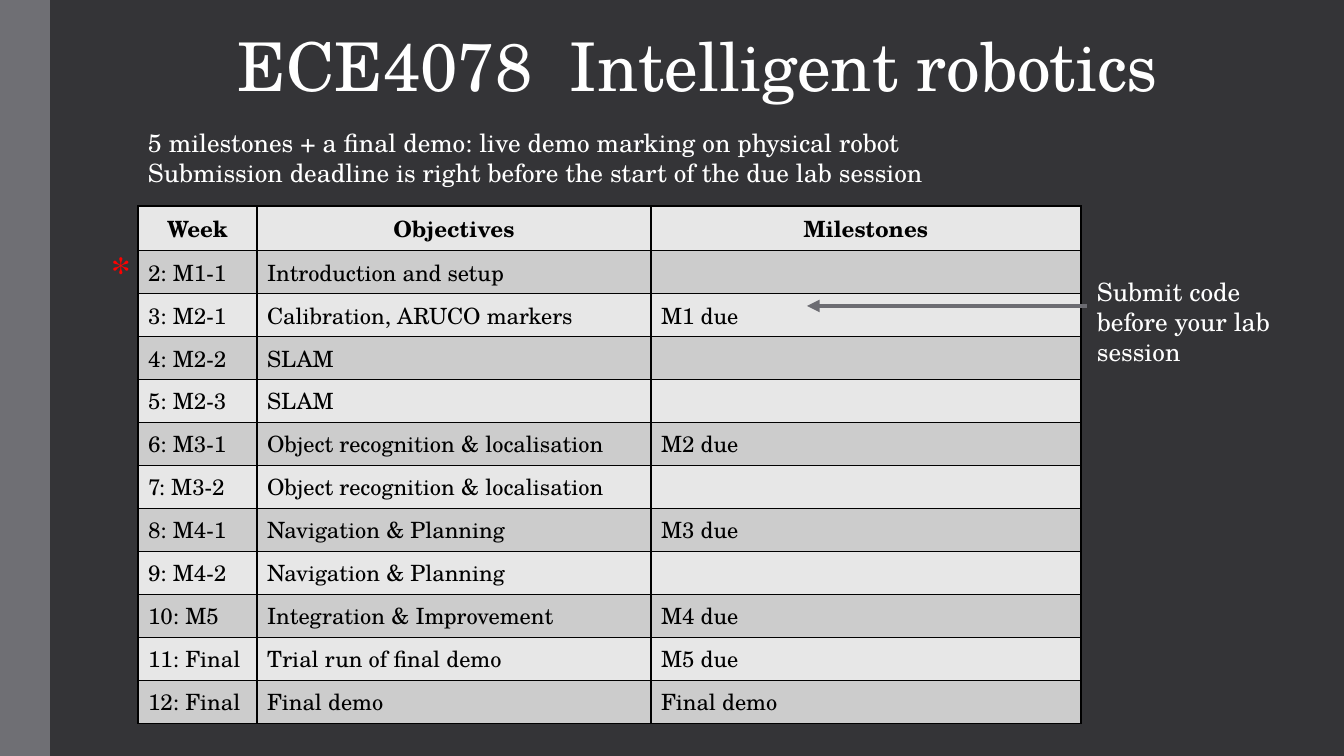
from lxml import etree
from pptx import Presentation
from pptx import util as u
from pptx.dml.color import RGBColor
from pptx.enum import shapes, text
from pptx.oxml.ns import qn

COLORS = {
    "background": "343437", "side": "6F6F74", "arrow": "6C6C72",
    "white": "FFFFFF", "black": "000000", "red": "FF0000",
    "light": "E7E7E7", "dark": "CCCCCC",
}
FONT = "TeX Gyre Schola"
PX = 914400 / 100.8

TITLE = ["ECE4078  Intelligent robotics"]
INTRO = [
    "5 milestones + a final demo: live demo marking on physical robot",
    "Submission deadline is right before the start of the due lab session",
]
SUBMIT_NOTE = ["Submit code", "before your lab", "session"]
SCHEDULE = [
    ("Week", "Objectives", "Milestones"),
    ("2: M1-1", "Introduction and setup", ""),
    ("3: M2-1", "Calibration, ARUCO markers", "M1 due"),
    ("4: M2-2", "SLAM", ""),
    ("5: M2-3", "SLAM", ""),
    ("6: M3-1", "Object recognition & localisation", "M2 due"),
    ("7: M3-2", "Object recognition & localisation", ""),
    ("8: M4-1", "Navigation & Planning", "M3 due"),
    ("9: M4-2", "Navigation & Planning", ""),
    ("10: M5", "Integration & Improvement", "M4 due"),
    ("11: Final", "Trial run of final demo", "M5 due"),
    ("12: Final", "Final demo", "Final demo"),
]
COLUMN_WIDTHS = (119, 394, 430)
ROW_HEIGHT = 43
WHITE_18 = {"size": 18, "color": "white"}
TEXTS = [
    (TITLE, (52, 19, 1292, 91), {"size": 48, "color": "white"}, True, True),
    (INTRO, (138, 122, 1104, 70), WHITE_18, False, True),
    (SUBMIT_NOTE, (1087, 271, 223, 107), WHITE_18, False, False),
    (["*"], (102, 242, 36, 57), {"size": 28, "color": "red"}, False, True),
]


def px(*lengths):
    return [u.Emu(round(n * PX)) for n in lengths]


def rgb(name):
    return RGBColor.from_string(COLORS[name])


def paint(fill, name):
    fill.solid()
    fill.fore_color.rgb = rgb(name)


def write(frame, lines, size, color, centered=False, bold=False):
    for i, line in enumerate(lines):
        paragraph = frame.paragraphs[0] if i == 0 else frame.add_paragraph()
        paragraph.alignment = text.PP_ALIGN.CENTER if centered else text.PP_ALIGN.LEFT
        run = paragraph.add_run()
        run.text = line
        for key, value in {"name": FONT, "size": u.Pt(size), "bold": bold}.items():
            setattr(run.font, key, value)
        run.font.color.rgb = rgb(color)


def outline(cell):
    properties = cell._tc.get_or_add_tcPr()
    for edge in ("a:lnL", "a:lnR", "a:lnT", "a:lnB"):
        line = etree.SubElement(properties, qn(edge), w=str(u.Pt(0.96)))
        solid = etree.SubElement(line, qn("a:solidFill"))
        etree.SubElement(solid, qn("a:srgbClr"), val=COLORS["black"])


def add_schedule(slide):
    area = px(138, 206, sum(COLUMN_WIDTHS), ROW_HEIGHT * len(SCHEDULE))
    schedule = slide.shapes.add_table(len(SCHEDULE), len(COLUMN_WIDTHS), *area).table
    for column, width in zip(schedule.columns, px(*COLUMN_WIDTHS)):
        column.width = width
    for r, entries in enumerate(SCHEDULE):
        schedule.rows[r].height = px(ROW_HEIGHT)[0]
        for c, entry in enumerate(entries):
            cell = schedule.cell(r, c)
            cell.vertical_anchor = text.MSO_ANCHOR.MIDDLE
            outline(cell)
            paint(cell.fill, "dark" if r % 2 else "light")
            if entry:
                write(cell.text_frame, [entry], 16, "black", r == 0, r == 0)


def add_arrow(slide):
    arrow = slide.shapes.add_connector(
        shapes.MSO_CONNECTOR.STRAIGHT, *px(1087, 306, 807, 306))
    arrow.line.width = u.Pt(3)
    arrow.line.color.rgb = rgb("arrow")
    etree.SubElement(arrow.line._get_or_add_ln(), qn("a:tailEnd"), type="triangle")
    etree.SubElement(arrow._element.spPr, qn("a:effectLst"))


def main():
    deck = Presentation()
    deck.slide_width, deck.slide_height = px(1344, 756)
    slide = deck.slides.add_slide(deck.slide_layouts[6])
    paint(slide.background.fill, "background")

    side = slide.shapes.add_shape(shapes.MSO_SHAPE.RECTANGLE, *px(0, 0, 50, 756))
    side.shadow.inherit = False
    paint(side.fill, "side")
    side.line.fill.background()

    add_schedule(slide)
    for lines, area, style, centered, wrapped in TEXTS:
        frame = slide.shapes.add_textbox(*px(*area)).text_frame
        frame.word_wrap = wrapped
        write(frame, lines, centered=centered, **style)
    add_arrow(slide)

    deck.save("out.pptx")


if __name__ == "__main__":
    main()
